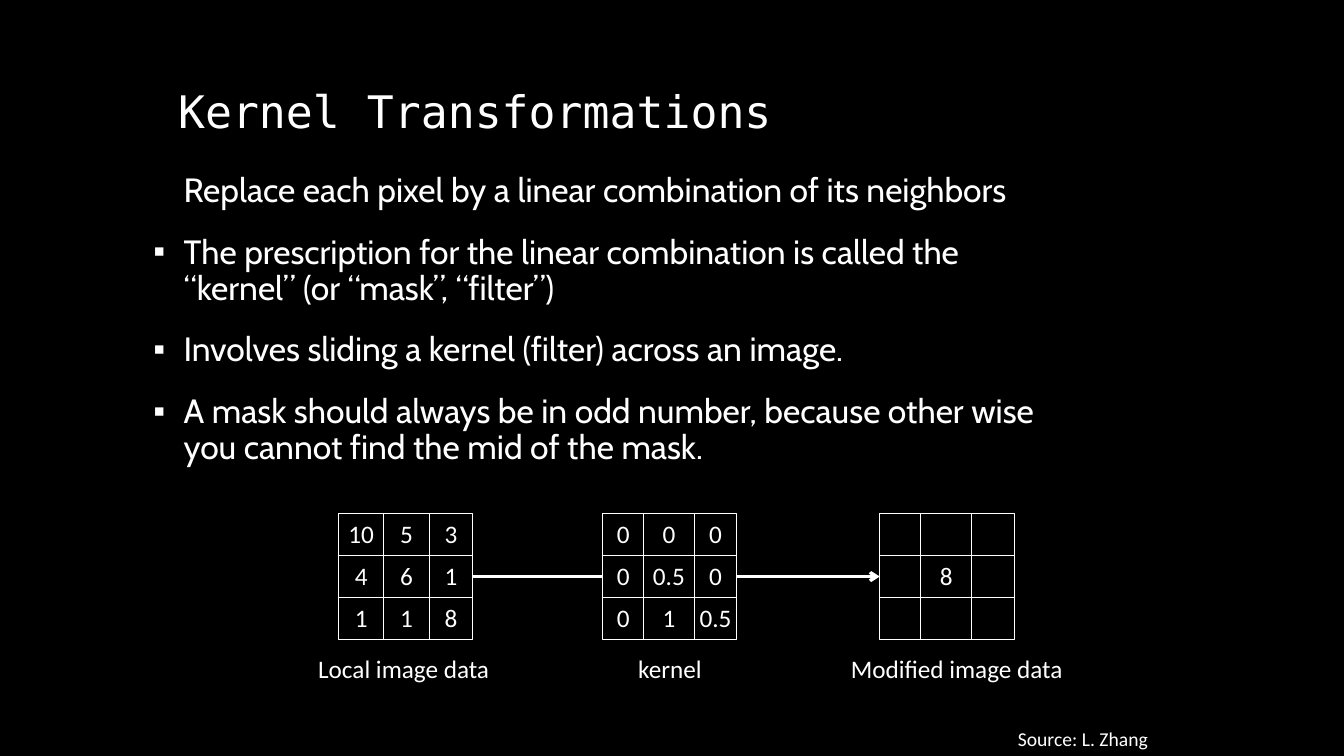
from pptx import Presentation
from pptx.dml.color import RGBColor
from pptx.enum.shapes import MSO_CONNECTOR as CONN, MSO_SHAPE as SHAPE
from pptx.enum.text import MSO_ANCHOR as ANCHOR, MSO_AUTO_SIZE as AUTO, PP_ALIGN as ALIGN
from pptx.oxml.ns import qn
from pptx.util import Inches, Pt
from lxml.etree import SubElement

BLACK = RGBColor(0x00, 0x00, 0x00)
WHITE = RGBColor(0xFF, 0xFF, 0xFF)
COLS, ROWS = 80, 45
GRID_TOP, GRID_W, ROW_H = 30.57, 8, 2.5
CAPTION_TOP, CAPTION_H = 38.6, 2.4

BULLETS = [
    "The prescription for the linear combination is called the “kernel” (or “mask”, “filter”)",
    "Involves sliding a kernel (filter) across an image.",
    "A mask should always be in odd number, because other wise you cannot find the mid of the mask.\u00a0",
]
LOCAL = [["10", "5", "3"], ["4", "6", "1"], ["1", "1", "8"]]
KERNEL = [["0", "0", "0"], ["0", "0.5", "0"], ["0", "1", "0.5"]]
MODIFIED = [["", "", ""], ["", "8", ""], ["", "", ""]]


def u(n):
    """Turn grid units of a sixth of an inch into a length."""
    return Inches(n / 6)


class Deck:
    """Style and current slide, measured on an 80 by 45 grid."""

    def __init__(self):
        """Open a black title-only slide."""
        self.prs = Presentation()
        self.prs.slide_width, self.prs.slide_height = u(COLS), u(ROWS)
        self.s = self.prs.slides.add_slide(self.prs.slide_layouts[5])
        self.s.background.fill.solid()
        self.s.background.fill.fore_color.rgb = BLACK

    def run(self, p, text, size, font="Calibri"):
        """Add one white run to a paragraph."""
        r = p.add_run()
        r.text = text
        r.font.size, r.font.name = Pt(size), font
        r.font.color.rgb = WHITE

    def title(self, text, x, y, w, h):
        """Place and fill the title placeholder."""
        sp = self.s.shapes.title
        sp.left, sp.top, sp.width, sp.height = u(x), u(y), u(w), u(h)
        tf = sp.text_frame
        tf.auto_size, tf.vertical_anchor = AUTO.NONE, ANCHOR.BOTTOM
        p = tf.paragraphs[0]
        p.alignment, p.line_spacing = ALIGN.LEFT, 0.9
        self.run(p, text, 32, "DejaVu Sans Mono")

    def body(self, lead, bullets, x, y, w, h):
        """Write a lead line followed by square-bulleted paragraphs."""
        tf = self.s.shapes.add_textbox(u(x), u(y), u(w), u(h)).text_frame
        tf.word_wrap = True
        for i, text in enumerate([lead, *bullets]):
            p = tf.add_paragraph() if i else tf.paragraphs[0]
            p.line_spacing, p.space_before = 0.9, Pt(18 if i else 6)
            pPr = p._p.get_or_add_pPr()
            pPr.set("marL", str(Inches(0.3)))
            pPr.set("indent", str(Inches(-0.3 if i else 0)))
            if i:
                SubElement(pPr, qn("a:buFont")).set("typeface", "Arial")
                SubElement(pPr, qn("a:buChar")).set("char", "▪")
            else:
                SubElement(pPr, qn("a:buNone"))
            self.run(p, text, 24, "Cabin")

    def label(self, text, x, y, w, h, size=18, align=ALIGN.LEFT, wrap=False, shapes=None):
        """Add a one-line text box to the slide or to a group."""
        shapes = self.s.shapes if shapes is None else shapes
        tf = shapes.add_textbox(u(x), u(y), u(w), u(h)).text_frame
        tf.word_wrap, tf.auto_size = wrap, AUTO.SHAPE_TO_FIT_TEXT
        p = tf.paragraphs[0]
        p.alignment = align
        self.run(p, text, size)

    def line(self, shapes, x1, y1, x2, y2, width=0.75):
        """Draw a plain white straight line."""
        c = shapes.add_connector(CONN.STRAIGHT, u(x1), u(y1), u(x2), u(y2))
        c.line.color.rgb, c.line.width = WHITE, Pt(width)
        SubElement(c._element.spPr, qn("a:effectLst"))
        return c

    def matrix(self, values, x, splits):
        """Draw a 3 by 3 grid with its numbers and return its frame."""
        shapes = self.s.shapes.add_group_shape().shapes
        top, height = GRID_TOP, ROW_H * len(values)
        sp = shapes.add_shape(SHAPE.RECTANGLE, u(x), u(top), u(GRID_W), u(height))
        sp.shadow.inherit = False
        sp.fill.background()
        sp.line.color.rgb, sp.line.width = WHITE, Pt(0.75)
        for dx in splits:
            self.line(shapes, x + dx, top, x + dx, top + height)
        for i in range(1, len(values)):
            self.line(shapes, x, top + i * ROW_H, x + GRID_W, top + i * ROW_H)
        edges = [0, *splits, GRID_W]
        for i, row in enumerate(values):
            for text, a, b in zip(row, edges, edges[1:]):
                if text:
                    w = 1.3 + 0.8 * len(text)
                    self.label(text, x + (a + b - w) / 2, top + i * ROW_H, w, 2.4,
                               align=ALIGN.CENTER, shapes=shapes)
        return sp

    def link(self, a, b, arrow=False):
        """Join the right side of one frame to the left side of the next."""
        c = self.line(self.s.shapes, 0, 0, 1, 1, 2.25)
        c.begin_connect(a, 3)
        c.end_connect(b, 1)
        if arrow:
            ln = c._element.spPr.find(qn("a:ln"))
            SubElement(ln, qn("a:tailEnd")).set("type", "arrow")


def main():
    """Build and save the slide."""
    d = Deck()
    d.title("Kernel Transformations", 10, 1.8, 60, 6.7)
    d.body("Replace each pixel by a linear combination of its neighbors", BULLETS,
           8.54, 10.04, 55, 13.4)
    local = d.matrix(LOCAL, 20.15, [2.7, 5.4])
    kernel = d.matrix(KERNEL, 35.87, [2.45, 5.45])
    modified = d.matrix(MODIFIED, 52.37, [2.45, 5.45])
    d.link(local, kernel)
    d.link(kernel, modified, arrow=True)
    d.label("Local image data", 18.35, CAPTION_TOP, 12, CAPTION_H, wrap=True)
    d.label("kernel", 37.4, CAPTION_TOP, 5.05, CAPTION_H)
    d.label("Modified image data", 50.05, CAPTION_TOP, 14, CAPTION_H)
    d.label("Source: L. Zhang", 60, 43, 9, 2.05, size=14)
    d.prs.save("out.pptx")


if __name__ == "__main__":
    main()
